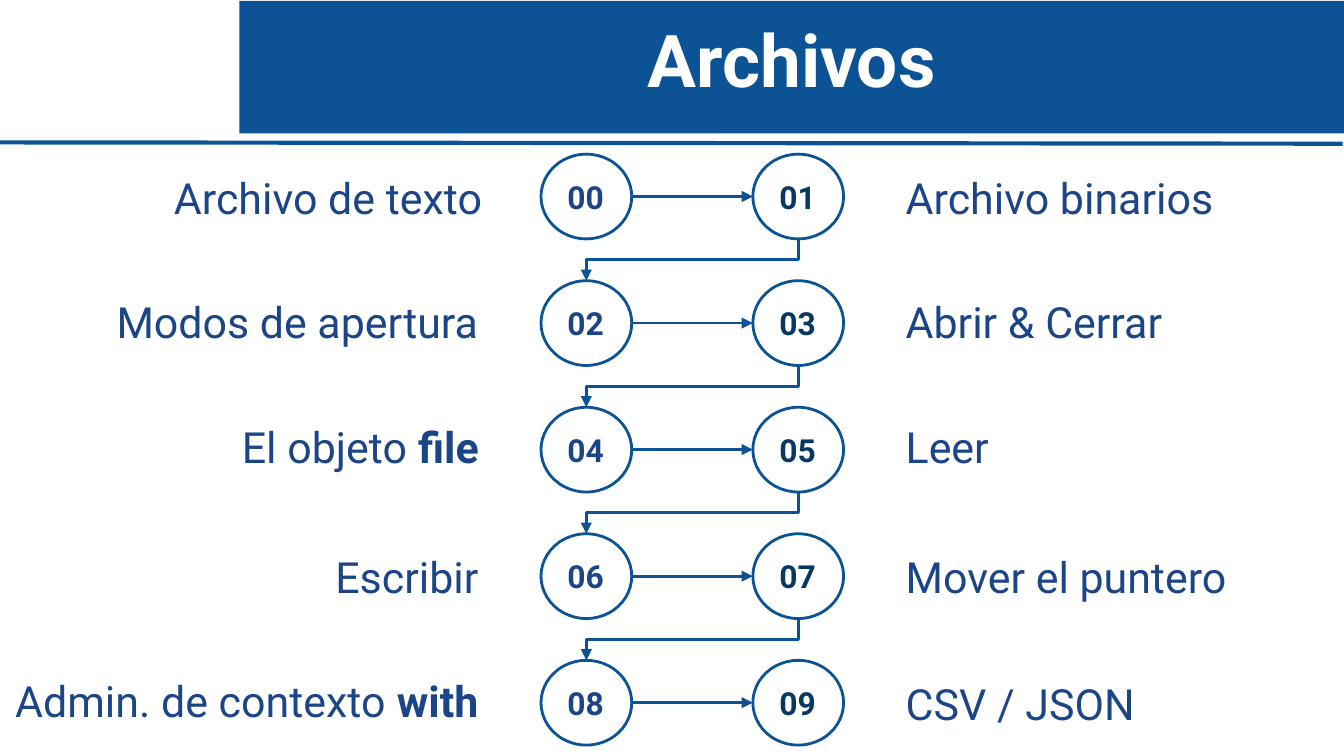
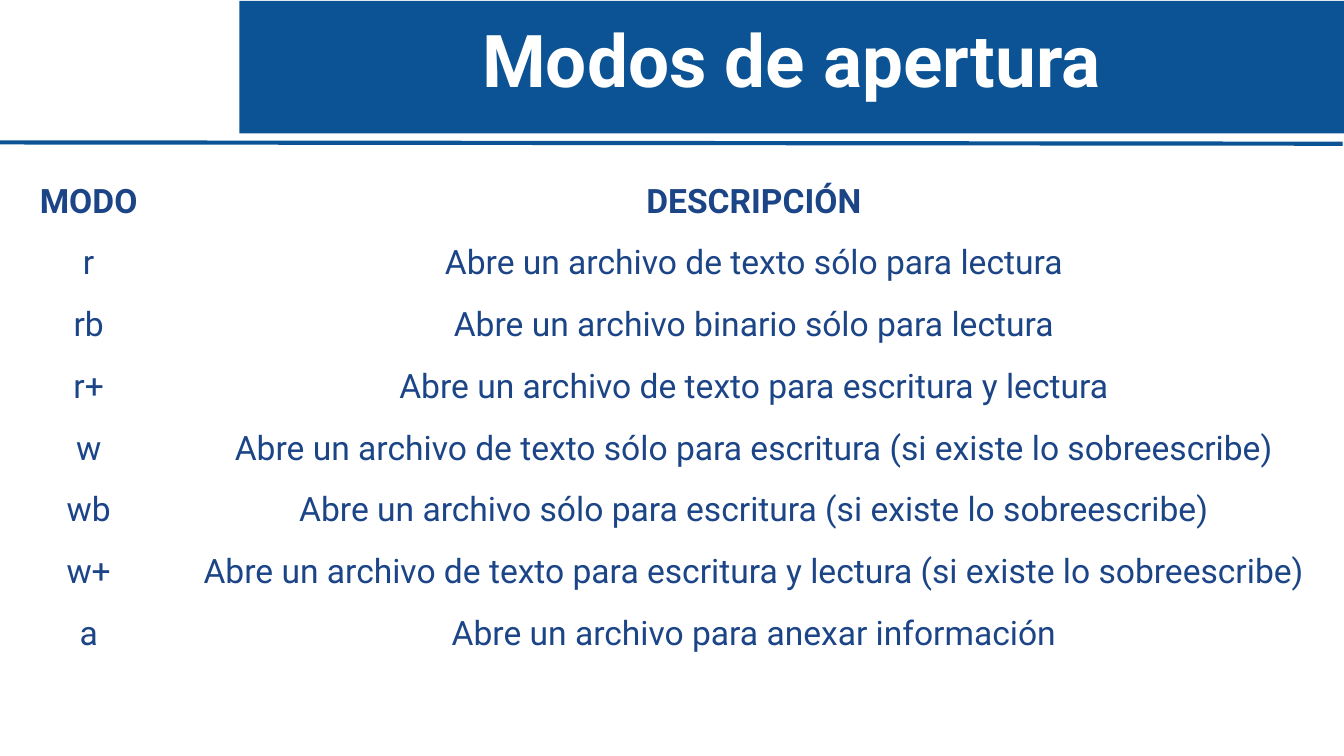
"""Builds two slides on files: a ten-step topic map and a table of opening modes."""
from lxml import etree
from pptx import Presentation
from pptx.dml.color import RGBColor
from pptx.enum.shapes import MSO_CONNECTOR, MSO_SHAPE
from pptx.enum.text import MSO_ANCHOR, PP_ALIGN
from pptx.oxml.ns import qn
from pptx.util import Pt

STRAIGHT, ELBOW = MSO_CONNECTOR.STRAIGHT, MSO_CONNECTOR.ELBOW
RECTANGLE, CIRCLE = MSO_SHAPE.RECTANGLE, MSO_SHAPE.FLOWCHART_CONNECTOR
LEFT, CENTER, RIGHT = PP_ALIGN.LEFT, PP_ALIGN.CENTER, PP_ALIGN.RIGHT
TOP, MIDDLE = MSO_ANCHOR.TOP, MSO_ANCHOR.MIDDLE

FONT = "Roboto"
COLORS = {"band": "0B5394", "text": "1C4587", "dark": "073763", "white": "FFFFFF"}

TOPICS_TITLE = "Archivos"
TOPICS = [
    ([("Archivo de texto", False)], (-23.8, 85, 289.4, 41)),
    ([("Archivo binarios", False)], (478.1, 85, 289.4, 41)),
    ([("Modos de apertura", False)], (45.4, 151.2, 218.2, 41)),
    ([("Abrir & Cerrar", False)], (478.1, 151.2, 289.4, 41)),
    ([("El objeto ", False), ("file", True)], (2.2, 218.2, 261.4, 41)),
    ([("Leer", False)], (478.1, 218.2, 289.4, 37.4)),
    ([("Escribir", False)], (69.1, 288, 194.4, 37.4)),
    ([("Mover el puntero", False)], (478.1, 288, 289.4, 37.4)),
    ([("Admin. de contexto ", False), ("with", True)], (-20.2, 354.2, 283.7, 37.4)),
    ([("CSV / JSON", False)], (478.1, 355.7, 289.4, 37.4)),
]

MODES_TITLE = "Modos de apertura"
MODES = [
    ("MODO", "DESCRIPCIÓN"),
    ("r", "Abre un archivo de texto sólo para lectura"),
    ("rb", "Abre un archivo binario sólo para lectura"),
    ("r+", "Abre un archivo de texto para escritura y lectura"),
    ("w", "Abre un archivo de texto sólo para escritura (si existe lo sobreescribe)"),
    ("wb", "Abre un archivo sólo para escritura (si existe lo sobreescribe)"),
    ("w+", "Abre un archivo de texto para escritura y lectura (si existe lo sobreescribe)"),
    ("a", "Abre un archivo para anexar información"),
]

CIRCLE_W, CIRCLE_H = 48.6, 45.4
CIRCLE_LEFTS = (289.8, 403.3)
CIRCLE_TOP, CIRCLE_PITCH = 82.6, 67.8
MODE_COLUMNS = (95, 617.8)
HEADER_HEIGHT, MODE_HEIGHT = 26, 23


def rgb(name):
    return RGBColor.from_string(COLORS[name])


def points(*values):
    return [Pt(value) for value in values]


def add_runs(paragraph, runs, size, color, align):
    paragraph.alignment = align
    for text, bold in runs:
        run = paragraph.add_run()
        run.text = text
        run.font.name, run.font.size, run.font.bold = FONT, Pt(size), bold
        run.font.color.rgb = rgb(color)


def write(shape, runs, size, color, align, anchor=TOP, wrap=True):
    frame = shape.text_frame
    frame.word_wrap, frame.vertical_anchor = wrap, anchor
    frame.margin_left = frame.margin_right = Pt(7.2)
    frame.margin_top = frame.margin_bottom = Pt(7.2)
    add_runs(frame.paragraphs[0], runs, size, color, align)


def add_line(slide, kind, start, end, width, arrow=False):
    line = slide.shapes.add_connector(kind, *points(*start, *end))
    line.line.color.rgb = rgb("band")
    line.line.width = Pt(width)
    if arrow:
        etree.SubElement(line.line._get_or_add_ln(), qn("a:tailEnd"), type="triangle")
    etree.SubElement(line._element.spPr, qn("a:effectLst"))
    return line


def add_return_arrow(slide, start, end):
    """Draws an elbow that leaves downwards, runs left and ends downwards."""
    middle_x, middle_y = (start[0] + end[0]) / 2, (start[1] + end[1]) / 2
    half_run, half_drop = (start[0] - end[0]) / 2, (end[1] - start[1]) / 2
    arrow = add_line(slide, ELBOW, (middle_x - half_drop, middle_y - half_run),
                     (middle_x + half_drop, middle_y + half_run), 1.5, True)
    arrow._element.spPr.find(qn("a:xfrm")).set("rot", "5400000")


def add_titled_slide(deck, title):
    slide = deck.slides.add_slide(deck.slide_layouts[6])
    band = slide.shapes.add_shape(RECTANGLE, *points(128.3, 0.5, 591.7, 71))
    band.shadow.inherit = False
    band.fill.solid()
    band.fill.fore_color.rgb = rgb("band")
    band.line.fill.background()
    write(band, [(title, True)], 39, "white", CENTER)
    add_line(slide, STRAIGHT, (-0.7, 76.3), (719.3, 77), 2.25)
    return slide


def add_circle(slide, number, left, top, color):
    circle = slide.shapes.add_shape(CIRCLE, *points(left, top, CIRCLE_W, CIRCLE_H))
    circle.shadow.inherit = False
    circle.fill.solid()
    circle.fill.fore_color.rgb = rgb("white")
    fill_color = circle._element.spPr.find(qn("a:solidFill"))[0]
    etree.SubElement(fill_color, qn("a:alpha"), val="6000")
    circle.line.color.rgb = rgb("band")
    circle.line.width = Pt(1.5)
    write(circle, [(f"{number:02d}", True)], 17, color, LEFT, MIDDLE, False)


def build_topics(deck):
    slide = add_titled_slide(deck, TOPICS_TITLE)
    first_x, second_x = (left + CIRCLE_W / 2 for left in CIRCLE_LEFTS)
    for number, (runs, box) in enumerate(TOPICS):
        row, column = divmod(number, 2)
        top = CIRCLE_TOP + row * CIRCLE_PITCH
        label = slide.shapes.add_textbox(*points(*box))
        write(label, runs, 23, "text", (RIGHT, LEFT)[column])
        add_circle(slide, number, CIRCLE_LEFTS[column], top, ("text", "dark")[column])
        if column == 0:
            middle = top + CIRCLE_H / 2
            add_line(slide, ELBOW, (CIRCLE_LEFTS[0] + CIRCLE_W, middle),
                     (CIRCLE_LEFTS[1], middle), 1.5, True)
        elif number < len(TOPICS) - 1:
            add_return_arrow(slide, (second_x, top + CIRCLE_H),
                             (first_x, top + CIRCLE_PITCH))


def build_modes(deck):
    slide = add_titled_slide(deck, MODES_TITLE)
    heights = [HEADER_HEIGHT] + [MODE_HEIGHT] * (len(MODES) - 1)
    table = slide.shapes.add_table(
        len(MODES), len(MODE_COLUMNS),
        *points(0, 90, sum(MODE_COLUMNS), sum(heights))).table
    table.first_row = table.horz_banding = False
    for column, width in zip(table.columns, MODE_COLUMNS):
        column.width = Pt(width)
    for index, (texts, height) in enumerate(zip(MODES, heights)):
        table.rows[index].height = Pt(height)
        for cell, text in zip(table.rows[index].cells, texts):
            cell.fill.solid()
            cell.fill.fore_color.rgb = rgb("white")
            cell.vertical_anchor = MIDDLE
            cell.margin_left = cell.margin_right = Pt(8.6)
            cell.margin_top = cell.margin_bottom = Pt(4.4)
            paragraph = cell.text_frame.paragraphs[0]
            paragraph.line_spacing = 1.15
            add_runs(paragraph, [(text, index == 0)], 18, "text", CENTER)


def main():
    deck = Presentation()
    deck.slide_width, deck.slide_height = points(720, 405)
    build_topics(deck)
    build_modes(deck)
    deck.save("out.pptx")


if __name__ == "__main__":
    main()
